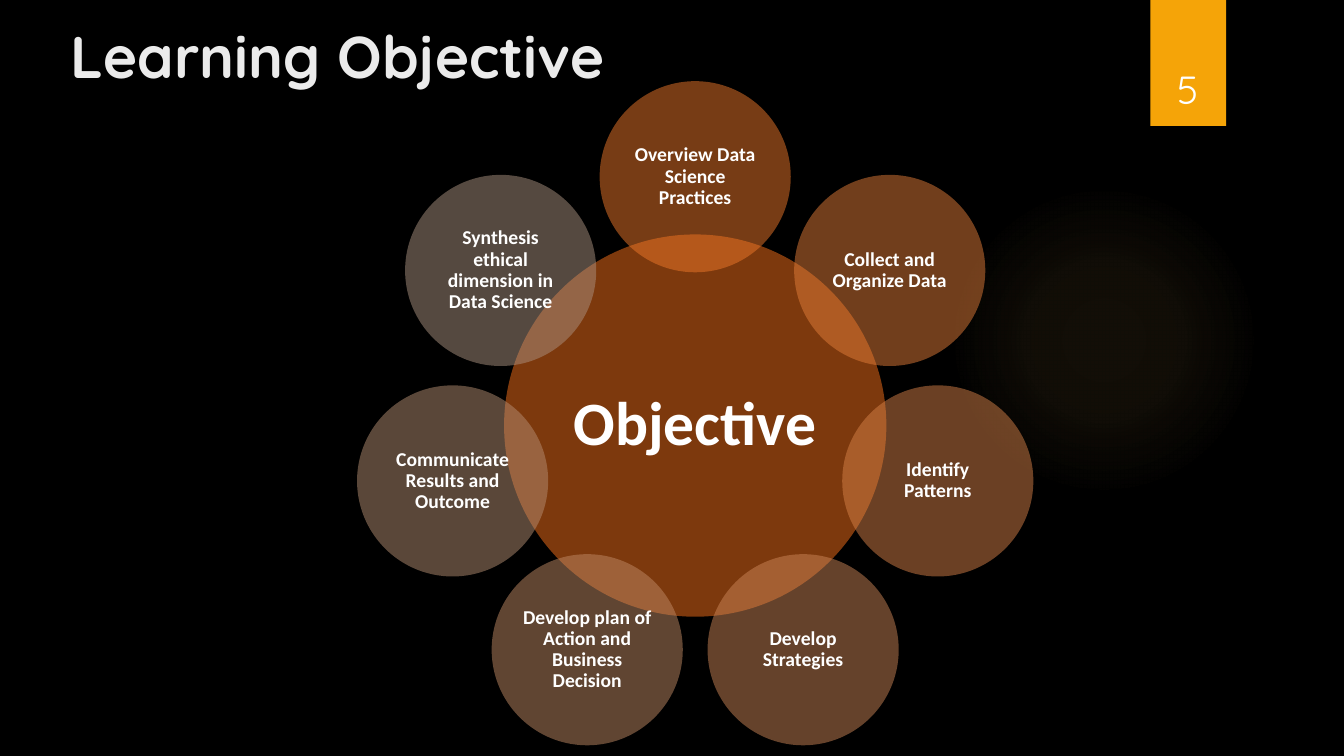
import math

from lxml import etree
from pptx import Presentation
from pptx.dml.color import RGBColor
from pptx.enum.shapes import MSO_SHAPE
from pptx.enum.text import MSO_ANCHOR, PP_ALIGN
from pptx.oxml import parse_xml
from pptx.oxml.ns import nsdecls, qn
from pptx.util import Pt

OVAL, RECTANGLE = MSO_SHAPE.OVAL, MSO_SHAPE.RECTANGLE
TOP, MIDDLE, BOTTOM = MSO_ANCHOR.TOP, MSO_ANCHOR.MIDDLE, MSO_ANCHOR.BOTTOM
LEFT, CENTER = PP_ALIGN.LEFT, PP_ALIGN.CENTER

BLACK = RGBColor(0x00, 0x00, 0x00)
WHITE = RGBColor(0xFF, 0xFF, 0xFF)
TITLE_GREY = RGBColor(0xEB, 0xEB, 0xEB)
AMBER = RGBColor(0xF5, 0xA4, 0x08)
GLOW = RGBColor(0xFA, 0xC9, 0x6A)
HUB_ORANGE = RGBColor(0xFA, 0x73, 0x1A)

GLOW_STOPS = [(0, 7), (36, 6), (69, 0)]  # position %, opacity %
OBJECTIVES = [  # clockwise from the top
    ("Overview Data Science Practices", RGBColor(0xEE, 0x78, 0x2A)),
    ("Collect and Organize Data", RGBColor(0xE2, 0x7D, 0x39)),
    ("Identify Patterns", RGBColor(0xD6, 0x81, 0x48)),
    ("Develop Strategies", RGBColor(0xCB, 0x85, 0x57)),
    ("Develop plan of Action and Business Decision", RGBColor(0xC0, 0x8A, 0x65)),
    ("Communicate Results and Outcome", RGBColor(0xB5, 0x8E, 0x73)),
    ("Synthesis ethical dimension in Data Science", RGBColor(0xAB, 0x92, 0x81)),
]

TITLE_FONT = {"name": "Quicksand", "size": Pt(42), "bold": True}
NUMBER_FONT = {"name": "Quicksand", "size": Pt(28), "bold": False}
HUB_FONT = {"name": "Calibri", "size": Pt(44), "bold": True}
OBJECTIVE_FONT = {"name": "Calibri", "size": Pt(14), "bold": True}


def add_plain_shape(slide, kind, box):
    shape = slide.shapes.add_shape(kind, *map(Pt, box))
    shape.shadow.inherit = False
    shape.line.fill.background()
    return shape


def write_text(shape, text, font, color, anchor, align):
    frame = shape.text_frame
    frame.word_wrap = True
    frame.vertical_anchor = anchor
    paragraph = frame.paragraphs[0]
    paragraph.text = text
    paragraph.alignment = align
    for attribute, value in font.items():
        setattr(paragraph.font, attribute, value)
    paragraph.font.color.rgb = color
    return frame


def add_glow(slide, box):
    """Place a faint radial light that fades to nothing at its rim."""
    glow = add_plain_shape(slide, OVAL, box)
    stops = "".join(
        f'<a:gs pos="{position * 1000}"><a:srgbClr val="{GLOW}">'
        f'<a:alpha val="{opacity * 1000}"/></a:srgbClr></a:gs>'
        for position, opacity in GLOW_STOPS
    )
    gradient = parse_xml(
        f'<a:gradFill {nsdecls("a")}><a:gsLst>{stops}</a:gsLst><a:path path="circle">'
        '<a:fillToRect l="50000" t="50000" r="50000" b="50000"/></a:path></a:gradFill>'
    )
    glow._element.spPr.find(qn("a:prstGeom")).addnext(gradient)


def add_title(slide, box):
    title = slide.shapes.add_textbox(*map(Pt, box))
    write_text(title, "Learning Objective", TITLE_FONT, TITLE_GREY, TOP, LEFT)


def add_page_badge(slide, box):
    left, top, width, height = box
    badge = add_plain_shape(slide, RECTANGLE, box)
    badge.fill.solid()
    badge.fill.fore_color.rgb = AMBER
    number_box = (left - 6.3, top + 23, width + 12, height - 29.5)
    number = slide.shapes.add_textbox(*map(Pt, number_box))
    write_text(number, "5", NUMBER_FONT, WHITE, BOTTOM, CENTER)


def add_disc(slide, center, diameter, text, color, font):
    """Place a half-transparent labelled circle around a centre point."""
    x, y = center
    box = (x - diameter / 2, y - diameter / 2, diameter, diameter)
    disc = add_plain_shape(slide, OVAL, box)
    disc.fill.solid()
    disc.fill.fore_color.rgb = color
    color_element = disc._element.spPr.find(qn("a:solidFill"))[0]
    etree.SubElement(color_element, qn("a:alpha"), val="50000")
    frame = write_text(disc, text, font, WHITE, MIDDLE, CENTER)
    frame.paragraphs[0].line_spacing = 0.9
    for side in ("left", "top", "right", "bottom"):
        setattr(frame, f"margin_{side}", font["size"] // 10)


def add_objective_wheel(slide, box):
    """Place the hub in a square box, with the objectives evenly round it."""
    left, top, side, _ = box
    x, y = left + side / 2, top + side / 2
    hub_diameter = side * 0.555
    objective_diameter = hub_diameter / 2
    orbit = (side - objective_diameter) / 2
    add_disc(slide, (x, y), hub_diameter, "Objective", HUB_ORANGE, HUB_FONT)
    for index, (text, color) in enumerate(OBJECTIVES):
        angle = 2 * math.pi * index / len(OBJECTIVES)
        center = (x + orbit * math.sin(angle), y - orbit * math.cos(angle))
        add_disc(slide, center, objective_diameter, text, color, OBJECTIVE_FONT)


def main():
    deck = Presentation()
    deck.slide_width, deck.slide_height = Pt(960), Pt(540)
    slide = deck.slides.add_slide(deck.slide_layouts[6])
    slide.background.fill.solid()
    slide.background.fill.fore_color.rgb = BLACK
    add_glow(slide, (677.5, 131.8, 221.8, 221.8))
    add_page_badge(slide, (821.8, 0, 54, 90))
    add_title(slide, (43.2, 10.8, 740.9, 72))
    add_objective_wheel(slide, (250.6, 58, 492, 492))
    deck.save("out.pptx")


if __name__ == "__main__":
    main()
